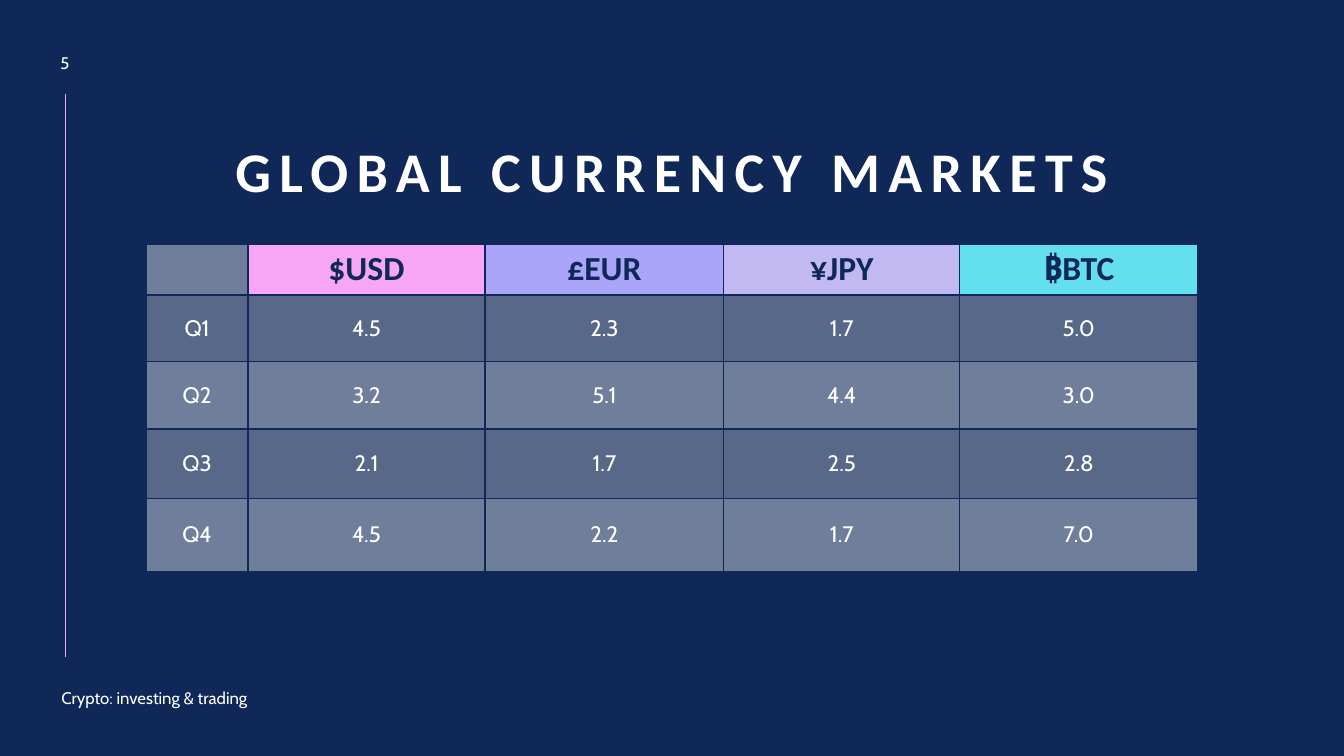
from lxml import etree
from pptx import Presentation
from pptx.dml.color import RGBColor
from pptx.enum.shapes import MSO_CONNECTOR
from pptx.enum.text import MSO_ANCHOR, PP_ALIGN
from pptx.oxml.ns import qn
from pptx.util import Inches, Pt

# Content
TITLE = "GLOBAL CURRENCY MARKETS"
FOOTER = "Crypto: investing & trading"
PAGE_NUMBER = "5"
MARKETS = [
    ["", "$USD", "£EUR", "¥JPY", "₿BTC"],
    ["Q1", "4.5", "2.3", "1.7", "5.0"],
    ["Q2", "3.2", "5.1", "4.4", "3.0"],
    ["Q3", "2.1", "1.7", "2.5", "2.8"],
    ["Q4", "4.5", "2.2", "1.7", "7.0"],
]

# Style
NAVY = RGBColor(0x10, 0x28, 0x57)
WHITE = RGBColor(0xFF, 0xFF, 0xFF)
PINK = RGBColor(0xF6, 0xA6, 0xF4)
HEADER_FILLS = [PINK, RGBColor(0xAA, 0xA5, 0xF9),
                RGBColor(0xC3, 0xB9, 0xF2), RGBColor(0x64, 0xDF, 0xED)]
BAND_OPACITY = [40, 30]  # even rows, odd rows, in percent
HEADING_FONT, BODY_FONT = "Calibri", "Cabin"
CENTER, LEFT = PP_ALIGN.CENTER, PP_ALIGN.LEFT
MIDDLE, BOTTOM = MSO_ANCHOR.MIDDLE, MSO_ANCHOR.BOTTOM
STRAIGHT = MSO_CONNECTOR.STRAIGHT

# Layout in inches
WIDTH, HEIGHT = 13.33, 7.5
TITLE_BOX = (1.2, 0.91, 10.93, 1.17)
FOOTER_BOX = (0.51, 6.77, 2.55, 0.3)
NUMBER_BOX = (0.36, 0.45, 0.57, 0.34)
RULE_X, RULE_TOP, RULE_BOTTOM = 0.65, 0.93, 6.52
TABLE_LEFT, TABLE_TOP = 1.45, 2.42
COLUMN_WIDTHS = [1.01, 2.35, 2.37, 2.34, 2.36]
ROW_HEIGHTS = [0.47, 0.66, 0.67, 0.69, 0.72]


def inches(lengths):
    return [Inches(length) for length in lengths]


def write(frame, text, size, font, color, align=CENTER, bold=False):
    para = frame.paragraphs[0]
    para.text = text
    para.alignment = align
    para.font.size = Pt(size)
    para.font.name = font
    para.font.bold = bold
    para.font.color.rgb = color
    return para


def add_label(slide, box, text, align):
    label = slide.shapes.add_textbox(*inches(box))
    label.text_frame.word_wrap = True
    label.text_frame.vertical_anchor = MIDDLE
    write(label.text_frame, text, 12, BODY_FONT, WHITE, align)


def style_cell(cell, fill, opacity=100):
    properties = cell._tc.get_or_add_tcPr()
    for side in ("a:lnL", "a:lnR", "a:lnT", "a:lnB"):
        border = etree.SubElement(properties, qn(side), w=str(Pt(0.96)))
        solid = etree.SubElement(border, qn("a:solidFill"))
        etree.SubElement(solid, qn("a:srgbClr"), val=str(NAVY))
    cell.fill.solid()
    cell.fill.fore_color.rgb = fill
    if opacity < 100:
        color = properties.find(qn("a:solidFill")).find(qn("a:srgbClr"))
        etree.SubElement(color, qn("a:alpha"), val=str(opacity * 1000))
    cell.vertical_anchor = MIDDLE


def add_market_table(slide):
    frame = slide.shapes.add_table(
        len(MARKETS), len(MARKETS[0]),
        *inches((TABLE_LEFT, TABLE_TOP, sum(COLUMN_WIDTHS), sum(ROW_HEIGHTS))))
    table = frame.table
    table.horz_banding = False
    for column, width in zip(table.columns, COLUMN_WIDTHS):
        column.width = Inches(width)
    for row, height in zip(table.rows, ROW_HEIGHTS):
        row.height = Inches(height)

    for r, values in enumerate(MARKETS):
        for c, value in enumerate(values):
            cell = table.cell(r, c)
            if r == 0 and c > 0:
                style_cell(cell, HEADER_FILLS[c - 1])
                write(cell.text_frame, value, 24, HEADING_FONT, NAVY, bold=True)
            else:
                style_cell(cell, WHITE, BAND_OPACITY[r % 2])
                write(cell.text_frame, value, 16, BODY_FONT, WHITE)


def main():
    deck = Presentation()
    deck.slide_width, deck.slide_height = inches((WIDTH, HEIGHT))
    slide = deck.slides.add_slide(deck.slide_layouts[5])
    slide.background.fill.solid()
    slide.background.fill.fore_color.rgb = NAVY

    # Vertical rule
    rule = slide.shapes.add_connector(
        STRAIGHT, *inches((RULE_X, RULE_TOP, RULE_X, RULE_BOTTOM)))
    rule.line.color.rgb = PINK
    rule.line.width = Pt(0.5)
    etree.SubElement(rule._element.spPr, qn("a:effectLst"))

    # Title
    title = slide.shapes.title
    title.left, title.top, title.width, title.height = inches(TITLE_BOX)
    title.text_frame.vertical_anchor = BOTTOM
    para = write(title.text_frame, TITLE, 40, HEADING_FONT, WHITE, bold=True)
    para.line_spacing = 0.9
    para.runs[0].font._element.set("spc", "600")

    # Table, footer and page number
    add_market_table(slide)
    add_label(slide, FOOTER_BOX, FOOTER, LEFT)
    add_label(slide, NUMBER_BOX, PAGE_NUMBER, CENTER)

    deck.save("out.pptx")


if __name__ == "__main__":
    main()
